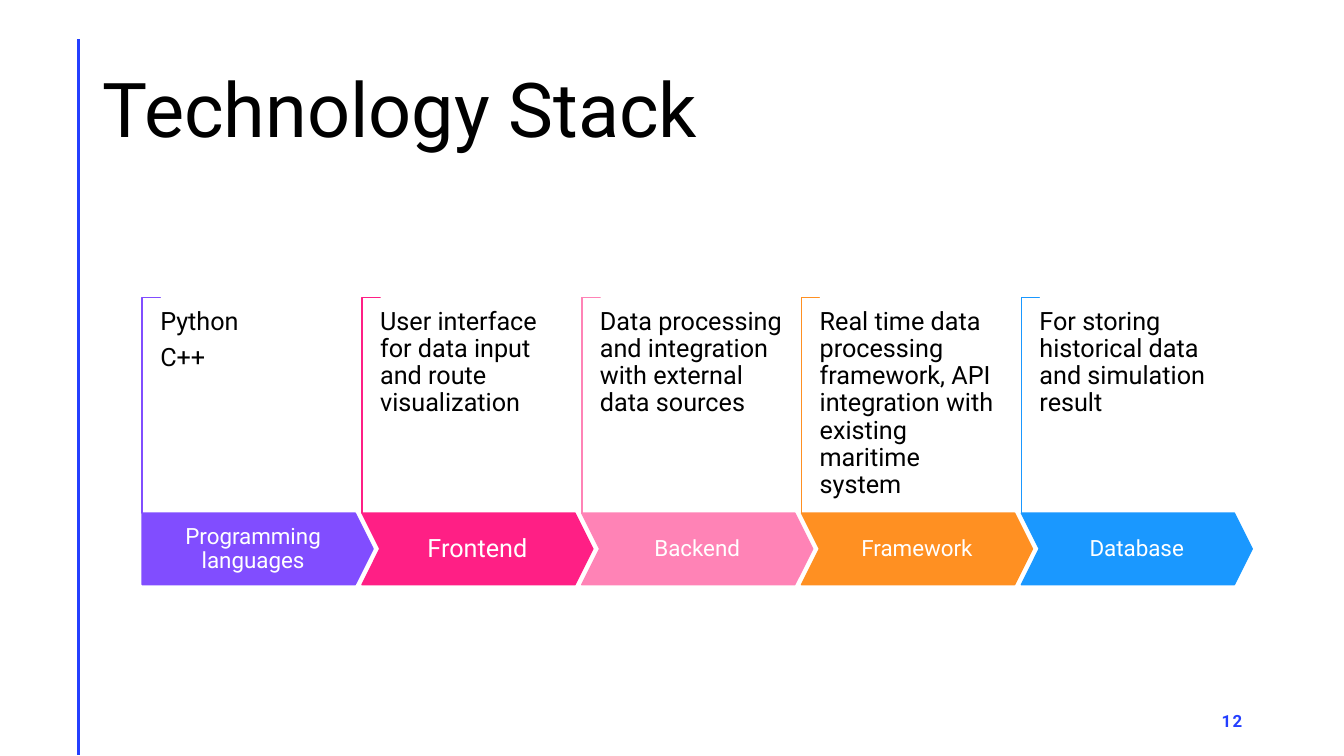
from dataclasses import dataclass

from lxml import etree
from pptx import Presentation
from pptx.dml.color import RGBColor
from pptx.enum.shapes import MSO_CONNECTOR, MSO_SHAPE
from pptx.enum.text import MSO_ANCHOR, MSO_AUTO_SIZE, PP_ALIGN
from pptx.oxml.ns import qn
from pptx.shapes.autoshape import Shape
from pptx.slide import Slide
from pptx.text.text import TextFrame
from pptx.util import Inches, Pt

PENTAGON, CHEVRON = MSO_SHAPE.PENTAGON, MSO_SHAPE.CHEVRON
CORNER = MSO_SHAPE.CORNER
STRAIGHT = MSO_CONNECTOR.STRAIGHT
TOP, MIDDLE = MSO_ANCHOR.TOP, MSO_ANCHOR.MIDDLE
LEFT, CENTER, RIGHT = PP_ALIGN.LEFT, PP_ALIGN.CENTER, PP_ALIGN.RIGHT
NO_AUTOFIT = MSO_AUTO_SIZE.NONE

FONT = "Roboto"
BLACK = RGBColor(0x00, 0x00, 0x00)
WHITE = RGBColor(0xFF, 0xFF, 0xFF)
ACCENT = RGBColor(0x24, 0x3F, 0xFF)
VIOLET = RGBColor(0x81, 0x4D, 0xFF)
MAGENTA = RGBColor(0xFF, 0x1F, 0x85)
PINK = RGBColor(0xFF, 0x83, 0xB6)
ORANGE = RGBColor(0xFF, 0x90, 0x22)
BLUE = RGBColor(0x1A, 0x98, 0xFF)

FIRST_LEFT, STEP = 1.41, 2.18
ARROW_TOP, ARROW_WIDTH, ARROW_HEIGHT = 5.09, 2.29, 0.71
BRACKET_HEIGHT, BRACKET_WIDTH = 2.14, 0.18


@dataclass(frozen=True)
class Layer:
    label: str
    details: tuple[str, ...]
    color: RGBColor
    label_size: int = 16
    arrow: MSO_SHAPE = CHEVRON


LAYERS = (
    Layer("Programming languages", ("Python", "C++"), VIOLET, arrow=PENTAGON),
    Layer("Frontend", ("User interface for data input and route visualization",),
          MAGENTA, label_size=18),
    Layer("Backend", ("Data processing and integration with external data sources",), PINK),
    Layer("Framework", ("Real time data processing framework, API integration with "
                        "existing maritime system",), ORANGE),
    Layer("Database", ("For storing historical data and simulation result",), BLUE),
)


def write(frame: TextFrame, lines: tuple[str, ...], size: int, color: RGBColor,
          align: PP_ALIGN = LEFT, anchor: MSO_ANCHOR = MIDDLE,
          spacing: float = 0.9, gap: float = 0) -> None:
    frame.word_wrap = True
    frame.auto_size = NO_AUTOFIT
    frame.vertical_anchor = anchor
    for index, line in enumerate(lines):
        paragraph = frame.add_paragraph() if index else frame.paragraphs[0]
        paragraph.text = line
        paragraph.alignment = align
        paragraph.line_spacing = spacing
        paragraph.space_before, paragraph.space_after = Pt(0), Pt(gap)
        paragraph.font.name = FONT
        paragraph.font.size = Pt(size)
        paragraph.font.color.rgb = color


def add_filled(slide: Slide, kind: MSO_SHAPE, left: float, top: float, width: float,
               height: float, fill: RGBColor, line: RGBColor) -> Shape:
    shape = slide.shapes.add_shape(
        kind, Inches(left), Inches(top), Inches(width), Inches(height))
    shape.shadow.inherit = False
    shape.fill.solid()
    shape.fill.fore_color.rgb = fill
    shape.line.color.rgb = line
    shape.line.width = Pt(1)
    return shape


def add_layer(slide: Slide, layer: Layer, left: float) -> None:
    """Draw a bracket with its details above a labelled arrow."""
    # The corner turns about its centre, so its unrotated box lies flat.
    bracket = add_filled(
        slide, CORNER,
        left + (BRACKET_WIDTH - BRACKET_HEIGHT) / 2,
        ARROW_TOP - (BRACKET_HEIGHT + BRACKET_WIDTH) / 2,
        BRACKET_HEIGHT, BRACKET_WIDTH, WHITE, layer.color)
    bracket.rotation = 90
    bracket.adjustments[0] = bracket.adjustments[1] = 0.01

    arrow = add_filled(slide, layer.arrow, left, ARROW_TOP, ARROW_WIDTH,
                       ARROW_HEIGHT, layer.color, layer.color)
    arrow.adjustments[0] = 0.25
    write(arrow.text_frame, (layer.label,), layer.label_size, WHITE, CENTER)

    details = slide.shapes.add_textbox(
        Inches(left + BRACKET_WIDTH), Inches(3.06), Inches(1.86), Inches(1.5)).text_frame
    details.margin_left = details.margin_right = 0
    details.margin_top = details.margin_bottom = 0
    write(details, layer.details, 18, BLACK, anchor=TOP, gap=6.3)


def add_side_rule(slide: Slide) -> None:
    rule = slide.shapes.add_connector(
        STRAIGHT, Inches(0.78), Inches(0.39), Inches(0.78), Inches(7.49))
    rule.line.color.rgb = ACCENT
    rule.line.width = Pt(2)
    etree.SubElement(rule.element.spPr, qn("a:effectLst"))


def add_title(slide: Slide) -> None:
    title = slide.shapes.title
    title.left, title.top = Inches(0.92), Inches(0.4)
    title.width, title.height = Inches(11.5), Inches(1.45)
    write(title.text_frame, ("Technology Stack",), 54, BLACK)


def add_page_number(slide: Slide) -> None:
    frame = slide.shapes.add_textbox(
        Inches(9.42), Inches(6.95), Inches(3), Inches(0.4)).text_frame
    write(frame, ("12",), 12, ACCENT, RIGHT, spacing=1.0)
    paragraph = frame.paragraphs[0]
    paragraph.font.bold = True
    paragraph.runs[0].font._element.set("spc", "100")


def main() -> None:
    deck = Presentation()
    deck.slide_width, deck.slide_height = Inches(13.33), Inches(7.5)
    slide = deck.slides.add_slide(deck.slide_layouts[5])
    add_side_rule(slide)
    add_title(slide)
    for index, layer in enumerate(LAYERS):
        add_layer(slide, layer, FIRST_LEFT + index * STEP)
    add_page_number(slide)
    deck.save("out.pptx")


if __name__ == "__main__":
    main()
